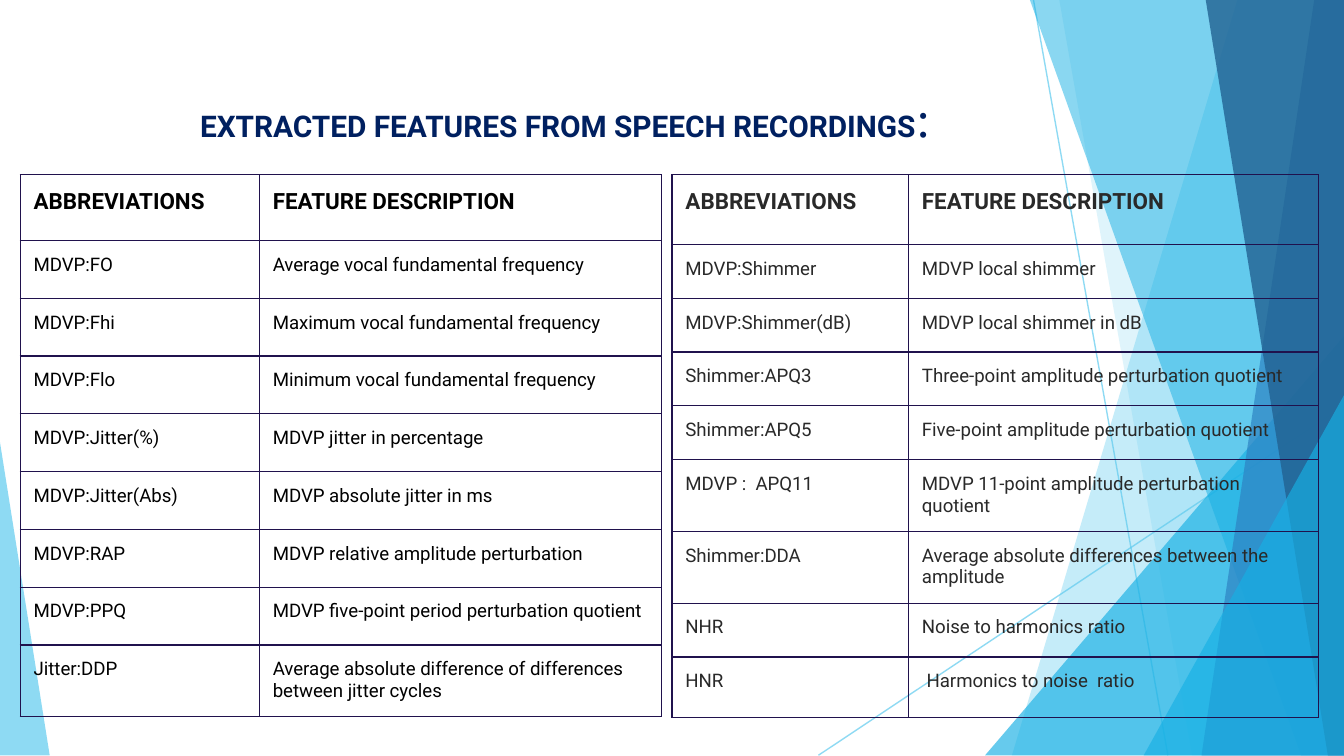
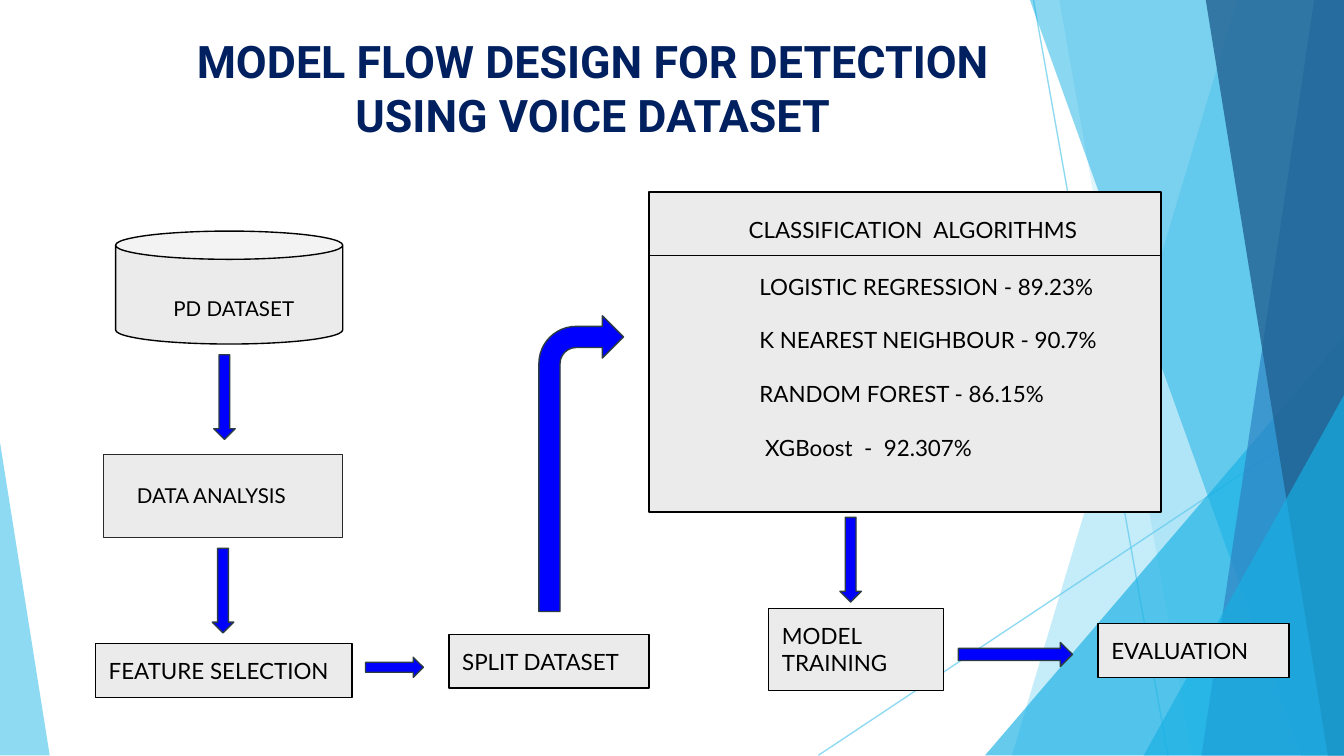
from dataclasses import dataclass

from lxml import etree
from pptx import Presentation
from pptx import util as u
from pptx.dml import color
from pptx.enum import shapes, text
from pptx.oxml import ns


@dataclass(frozen=True)
class Theme:
    sky: str = "5FCBEF"
    cyan: str = "17B0E4"
    blue: str = "2E83C3"
    deep: str = "226292"
    title: str = "002060"
    grid: str = "20124D"
    black: str = "000000"
    charcoal: str = "292929"
    box: str = "EBEBEB"
    arrow: str = "0000FF"
    arrow_edge: str = "2C3C43"
    heading_font: str = "Roboto"
    colon_font: str = "Times New Roman"
    box_font: str = "Lato"
    title_size: float = 24
    small_title_size: float = 16
    colon_size: float = 27.6
    head_size: float = 12
    cell_size: float = 10
    box_size: float = 12
    small_box_size: float = 11
    line_width: float = 0.75
    inset: float = 0.1


THEME = Theme()
RIGHT, TOP, BOTTOM = 10, -0.01, 5.62
SHAPE = shapes.MSO_SHAPE


def rgb(code):
    return color.RGBColor.from_string(code)


def set_opacity(shape, percent):
    for tint in shape._element.spPr.iter(ns.qn("a:srgbClr")):
        etree.SubElement(tint, ns.qn("a:alpha")).set("val", str(percent * 1000))


class Deck:
    def __init__(self, theme):
        self.theme = theme
        self.presentation = Presentation()
        self.presentation.slide_width = u.Inches(10)
        self.presentation.slide_height = u.Inches(10) * 9 // 16
        self.slide = None

    def new_slide(self):
        layout = self.presentation.slide_layouts[6]
        self.slide = self.presentation.slides.add_slide(layout)
        self.backdrop()

    def backdrop(self):
        theme = self.theme
        self.thin_line(7.69, 0, 8.69, BOTTOM)
        self.thin_line(RIGHT, 3.02, 6.09, BOTTOM)
        self.facet(9.21, 7.53, theme.sky, 36)
        self.facet(7.88, 8.87, theme.sky, 20)
        self.corner(7.33, 2.5, 2.67, 3.12, 1, theme.cyan, 66)
        self.facet(7.66, 9.68, theme.cyan, 50)
        self.facet(9.78, 8.94, theme.blue, 70)
        self.facet(8.97, 9.88, theme.deep, 80)
        self.corner(8.51, 2.94, 1.49, 2.68, 1, theme.cyan, 66)
        self.corner(0, 3.29, 0.37, 2.33, 0, theme.sky, 70)

    def thin_line(self, x1, y1, x2, y2):
        line = self.slide.shapes.add_connector(
            shapes.MSO_CONNECTOR.STRAIGHT, *map(u.Inches, (x1, y1, x2, y2)))
        line.line.color.rgb = rgb(self.theme.sky)
        line.line.width = u.Pt(self.theme.line_width)
        set_opacity(line, 70)
        etree.SubElement(line._element.spPr, ns.qn("a:effectLst"))

    def facet(self, top_x, bottom_x, fill, opacity):
        builder = self.slide.shapes.build_freeform(u.Inches(top_x), u.Inches(TOP))
        corners = [(RIGHT, TOP), (RIGHT, BOTTOM), (bottom_x, BOTTOM)]
        builder.add_line_segments(
            [(u.Inches(x), u.Inches(y)) for x, y in corners], close=True)
        shape = builder.convert_to_shape()
        self.paint(shape, fill)
        set_opacity(shape, opacity)

    def corner(self, left, top, width, height, apex, fill, opacity):
        shape = self.shape(SHAPE.ISOSCELES_TRIANGLE, left, top, width, height,
                           fill, adjustments=[apex])
        set_opacity(shape, opacity)

    def paint(self, shape, fill, line=None):
        shape.shadow.inherit = False
        shape.fill.solid()
        shape.fill.fore_color.rgb = rgb(fill)
        if line:
            shape.line.color.rgb = rgb(line)
            shape.line.width = u.Pt(self.theme.line_width)
        else:
            shape.line.fill.background()

    def shape(self, kind, left, top, width, height, fill, line=None, adjustments=()):
        shape = self.slide.shapes.add_shape(
            kind, *map(u.Inches, (left, top, width, height)))
        for index, value in enumerate(adjustments):
            shape.adjustments[index] = value
        self.paint(shape, fill, line)
        return shape

    def run(self, paragraph, words, size, font, tint, bold=False):
        run = paragraph.add_run()
        run.text = words
        run.font.size = u.Pt(size)
        run.font.name = font
        run.font.bold = bold
        run.font.color.rgb = rgb(tint)

    def frame(self, shape, left=None, top=None, anchor=text.MSO_ANCHOR.TOP):
        inset = self.theme.inset
        frame = shape.text_frame
        frame.word_wrap = True
        frame.vertical_anchor = anchor
        frame.margin_left = u.Inches(left or inset)
        frame.margin_top = u.Inches(top or inset)
        frame.margin_right = frame.margin_bottom = u.Inches(inset)
        return frame

    def text_box(self, left, top, width, height):
        return self.slide.shapes.add_textbox(
            *map(u.Inches, (left, top, width, height)))

    def title(self, left, top, width, height, words, size, centred=False, colon=False):
        theme = self.theme
        frame = self.frame(self.text_box(left, top, width, height),
                           anchor=text.MSO_ANCHOR.MIDDLE)
        paragraph = frame.paragraphs[0]
        paragraph.alignment = text.PP_ALIGN.CENTER if centred else text.PP_ALIGN.LEFT
        self.run(paragraph, words, size, theme.heading_font, theme.title, True)
        if colon:
            self.run(paragraph, ":", theme.colon_size, theme.colon_font, theme.title)

    def box(self, left, top, width, height, words="", size=None, line=THEME.black,
            text_left=None, text_top=None):
        theme = self.theme
        shape = self.shape(SHAPE.RECTANGLE, left, top, width, height, theme.box, line)
        if words:
            paragraph = self.frame(shape, text_left, text_top).paragraphs[0]
            paragraph.alignment = text.PP_ALIGN.LEFT
            self.run(paragraph, words, size or theme.box_size,
                     theme.box_font, theme.black)

    def arrow(self, kind, left, top, width, height, adjustments=(0.5, 0.5)):
        self.shape(kind, left, top, width, height, self.theme.arrow,
                   self.theme.arrow_edge, adjustments)

    def listing(self, left, top, width, height, lines, indent, gap):
        theme = self.theme
        frame = self.frame(self.text_box(left, top, width, height), indent)
        for index, words in enumerate(lines):
            paragraph = frame.add_paragraph() if index else frame.paragraphs[0]
            if index:
                paragraph.space_before = u.Pt(gap)
            self.run(paragraph, words, theme.box_size, theme.box_font, theme.black)

    def table(self, left, top, widths, heights, rows, tint):
        theme = self.theme
        table = self.slide.shapes.add_table(
            len(rows), len(widths), u.Inches(left), u.Inches(top),
            u.Inches(sum(widths)), u.Inches(sum(heights))).table
        table.first_row = table.horz_banding = False
        for column, width in zip(table.columns, widths):
            column.width = u.Inches(width)
        for index, (row, height, values) in enumerate(zip(table.rows, heights, rows)):
            row.height = u.Inches(height)
            size = theme.cell_size if index else theme.head_size
            for cell, words in zip(row.cells, values):
                self.cell(cell, words, size, tint, index == 0)

    def cell(self, cell, words, size, tint, bold):
        theme = self.theme
        cell.margin_left = cell.margin_right = u.Inches(theme.inset)
        cell.margin_top = cell.margin_bottom = u.Inches(theme.inset)
        self.run(cell.text_frame.paragraphs[0], words, size,
                 theme.heading_font, tint, bold)
        properties = cell._tc.get_or_add_tcPr()
        for side in "LRTB":
            edge = etree.SubElement(properties, ns.qn(f"a:ln{side}"))
            edge.set("w", str(u.Pt(theme.line_width)))
            fill = etree.SubElement(edge, ns.qn("a:solidFill"))
            etree.SubElement(fill, ns.qn("a:srgbClr")).set("val", theme.grid)
        cell.fill.background()


HEADER = ("ABBREVIATIONS", "FEATURE DESCRIPTION")
FREQUENCY_ROWS = [
    HEADER,
    ("MDVP:FO", "Average vocal fundamental frequency"),
    ("MDVP:Fhi", "Maximum vocal fundamental frequency"),
    ("MDVP:Flo", "Minimum vocal fundamental frequency"),
    ("MDVP:Jitter(%)", "MDVP jitter in percentage"),
    ("MDVP:Jitter(Abs)", "MDVP absolute jitter in ms"),
    ("MDVP:RAP", "MDVP relative amplitude perturbation"),
    ("MDVP:PPQ", "MDVP five-point period perturbation quotient"),
    ("Jitter:DDP", "Average absolute difference of differences between jitter cycles"),
]
SHIMMER_ROWS = [
    HEADER,
    ("MDVP:Shimmer", "MDVP local shimmer"),
    ("MDVP:Shimmer(dB)", "MDVP local shimmer in dB"),
    ("Shimmer:APQ3", "Three-point amplitude perturbation quotient"),
    ("Shimmer:APQ5", "Five-point amplitude perturbation quotient"),
    ("MDVP :  APQ11", "MDVP 11-point amplitude perturbation quotient"),
    ("Shimmer:DDA", "Average absolute differences between the amplitude"),
    ("NHR", "Noise to harmonics ratio"),
    ("HNR", " Harmonics to noise  ratio"),
]
ALGORITHMS = [
    "LOGISTIC REGRESSION - 89.23%",
    "K NEAREST NEIGHBOUR - 90.7%",
    "RANDOM FOREST - 86.15%",
    " XGBoost  -  92.307%",
]


def features_slide(deck):
    deck.new_slide()
    deck.title(1.39, 0.44, 6.45, 0.86, "EXTRACTED FEATURES FROM SPEECH RECORDINGS",
               deck.theme.small_title_size, colon=True)
    deck.table(0.15, 1.3, [1.78, 2.99], [0.49] + [0.43] * 7 + [0.52],
               FREQUENCY_ROWS, deck.theme.black)
    deck.table(5, 1.3, [1.76, 3.05], [0.52] + [0.4] * 4 + [0.52] * 2 + [0.4, 0.45],
               SHIMMER_ROWS, deck.theme.charcoal)


def flow_slide(deck):
    theme = deck.theme
    deck.new_slide()
    deck.title(1.17, 0.17, 6.48, 0.96,
               "MODEL FLOW DESIGN FOR DETECTION USING VOICE DATASET",
               theme.title_size, centred=True)

    deck.shape(SHAPE.CAN, 0.86, 1.72, 1.69, 0.84, theme.box, theme.black, [0.25])
    deck.box(1.01, 2, 1.31, 0.5, "PD DATASET", theme.small_box_size, None, 0.28, 0.2)
    deck.box(0.77, 3.38, 1.78, 0.62, line=theme.charcoal)
    deck.box(0.92, 3.49, 1.49, 0.39, "DATA ANALYSIS", theme.small_box_size, None)
    deck.box(0.71, 4.79, 1.91, 0.4, "FEATURE SELECTION")
    deck.box(3.34, 4.72, 1.49, 0.4, "SPLIT DATASET")
    deck.box(4.83, 1.43, 3.81, 0.5, "CLASSIFICATION  ALGORITHMS",
             text_left=0.74, text_top=0.18)
    deck.box(4.83, 1.9, 3.81, 1.91)
    deck.listing(5, 1.93, 3.51, 1.62, ALGORITHMS, indent=0.65, gap=14.4)
    deck.box(5.72, 4.53, 1.3, 0.61, "MODEL TRAINING")
    deck.box(8.17, 4.64, 1.42, 0.4, "EVALUATION")

    for left, top in [(1.59, 2.64), (1.58, 4.08), (6.25, 3.85)]:
        deck.arrow(SHAPE.DOWN_ARROW, left, top, 0.16, 0.63)
    deck.arrow(SHAPE.RIGHT_ARROW, 2.72, 4.89, 0.43, 0.15)
    deck.arrow(SHAPE.RIGHT_ARROW, 7.13, 4.78, 0.85, 0.18)
    deck.arrow(SHAPE.BENT_ARROW, 4.01, 2.35, 0.63, 2.2, (0.25, 0.25, 0.25, 0.44))


def main():
    deck = Deck(THEME)
    features_slide(deck)
    flow_slide(deck)
    deck.presentation.save("out.pptx")


if __name__ == "__main__":
    main()
